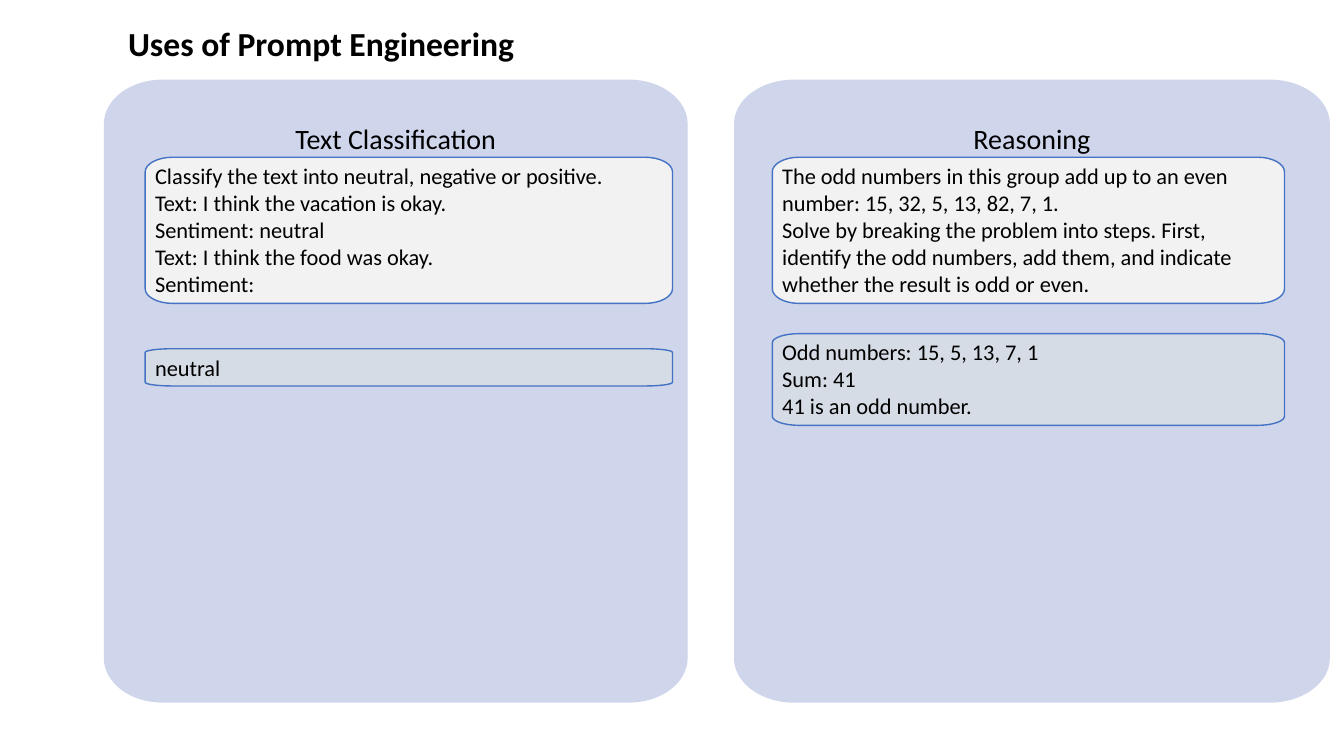
from lxml import etree
from pptx import Presentation
from pptx import util as u
from pptx.dml.color import RGBColor
from pptx.enum import text
from pptx.oxml import ns

COLOURS = {
    "ink": "000000",
    "panel": "CFD5EA",
    "prompt": "F2F2F2",
    "answer": "D6DCE5",
    "outline": "4472C4",
}
FONT = "Calibri"
CURVE = 0.55
PANEL_TOP, PANEL_HEIGHT = 0.79, 6.18
PROMPT_DROP, PROMPT_HEIGHT = 0.77, 1.45

USES = [
    {
        "heading": "Text Classification",
        "left": 1.03, "width": 5.79,
        "indent": 0.41, "inner_width": 5.23,
        "prompt": [
            "Classify the text into neutral, negative or positive.",
            "Text: I think the vacation is okay.",
            "Sentiment: neutral",
            "Text: I think the food was okay.",
            "Sentiment:",
        ],
        "answer": ["neutral"],
        "answer_drop": 2.67, "answer_height": 0.37,
    },
    {
        "heading": "Reasoning",
        "left": 7.28, "width": 5.91,
        "indent": 0.38, "inner_width": 5.08,
        "prompt": [
            "The odd numbers in this group add up to an even number: "
            "15, 32, 5, 13, 82, 7, 1.",
            "Solve by breaking the problem into steps. First, identify the odd "
            "numbers, add them, and indicate whether the result is odd or even.",
        ],
        "answer": ["Odd numbers: 15, 5, 13, 7, 1", "Sum: 41", "41 is an odd number."],
        "answer_drop": 2.52, "answer_height": 0.91,
    },
]


def colour(name):
    return RGBColor.from_string(COLOURS[name])


def write(frame, lines, size, align=text.PP_ALIGN.LEFT, bold=False):
    frame.word_wrap = True
    frame.auto_size = text.MSO_AUTO_SIZE.NONE
    frame.vertical_anchor = text.MSO_ANCHOR.TOP
    for index, line in enumerate(lines):
        paragraph = frame.paragraphs[0] if index == 0 else frame.add_paragraph()
        paragraph.alignment = align
        run = paragraph.add_run()
        run.text = line
        run.font.name = FONT
        run.font.size = u.Pt(size)
        run.font.bold = bold
        run.font.color.rgb = colour("ink")


def outline_points(left, top, width, height, radius_x, radius_y):
    right, bottom = left + width, top + height
    near_x, near_y = radius_x * (1 - CURVE), radius_y * (1 - CURVE)
    points = [
        (left, top + radius_y),
        (left, top + near_y), (left + near_x, top), (left + radius_x, top),
        (right - radius_x, top),
        (right - near_x, top), (right, top + near_y), (right, top + radius_y),
        (right, bottom - radius_y),
        (right, bottom - near_y), (right - near_x, bottom), (right - radius_x, bottom),
        (left + radius_x, bottom),
        (left + near_x, bottom), (left, bottom - near_y), (left, bottom - radius_y),
    ]
    return [(u.Inches(x), u.Inches(y)) for x, y in points]


def round_corners(card):
    segments = list(card._element.iter(ns.qn("a:lnTo")))
    for first in range(0, len(segments), 4):
        corner = segments[first:first + 3]
        curve = etree.Element(ns.qn("a:cubicBezTo"))
        corner[0].addprevious(curve)
        for segment in corner:
            curve.append(segment[0])
            segment.getparent().remove(segment)


def add_card(slide, box, radii, fill, outline=None):
    start, *rest = outline_points(*box, *radii)
    builder = slide.shapes.build_freeform(*start)
    builder.add_line_segments(rest, close=True)
    card = builder.convert_to_shape()
    round_corners(card)
    card.shadow.inherit = False
    card.fill.solid()
    card.fill.fore_color.rgb = colour(fill)
    if outline:
        card.line.color.rgb = colour(outline)
        card.line.width = u.Pt(1)
    else:
        card.line.fill.background()
    return card


def add_message(slide, box, lines, fill):
    _, _, width, height = box
    radii = (0.0525 * width, 0.1 * height)
    message = add_card(slide, box, radii, fill, "outline")
    write(message.text_frame, lines, 16)


def add_use(slide, use, box):
    left, top, width, height = box
    panel = add_card(slide, box, (0.1 * width, 0.44), "panel")
    heading = panel.text_frame
    heading.margin_left = heading.margin_right = u.Inches(0.08)
    heading.margin_top = u.Inches(0.45)
    write(heading, [use["heading"]], 20, text.PP_ALIGN.CENTER)
    heading.paragraphs[0].line_spacing = 0.9

    inner_left, inner_width = left + use["indent"], use["inner_width"]
    add_message(slide, (inner_left, top + PROMPT_DROP, inner_width, PROMPT_HEIGHT),
                use["prompt"], "prompt")
    add_message(slide, (inner_left, top + use["answer_drop"], inner_width,
                        use["answer_height"]), use["answer"], "answer")


def add_title(slide, box):
    title = slide.shapes.title
    title.left, title.top, title.width, title.height = map(u.Inches, box)
    write(title.text_frame, ["Uses of Prompt Engineering"], 24, bold=True)


def main():
    deck = Presentation()
    deck.slide_width, deck.slide_height = u.Inches(13.33), u.Inches(7.5)
    slide = deck.slides.add_slide(deck.slide_layouts[5])
    add_title(slide, (1.17, 0.18, 4.88, 0.5))
    for use in USES:
        add_use(slide, use, (use["left"], PANEL_TOP, use["width"], PANEL_HEIGHT))
    deck.save("out.pptx")


if __name__ == "__main__":
    main()
